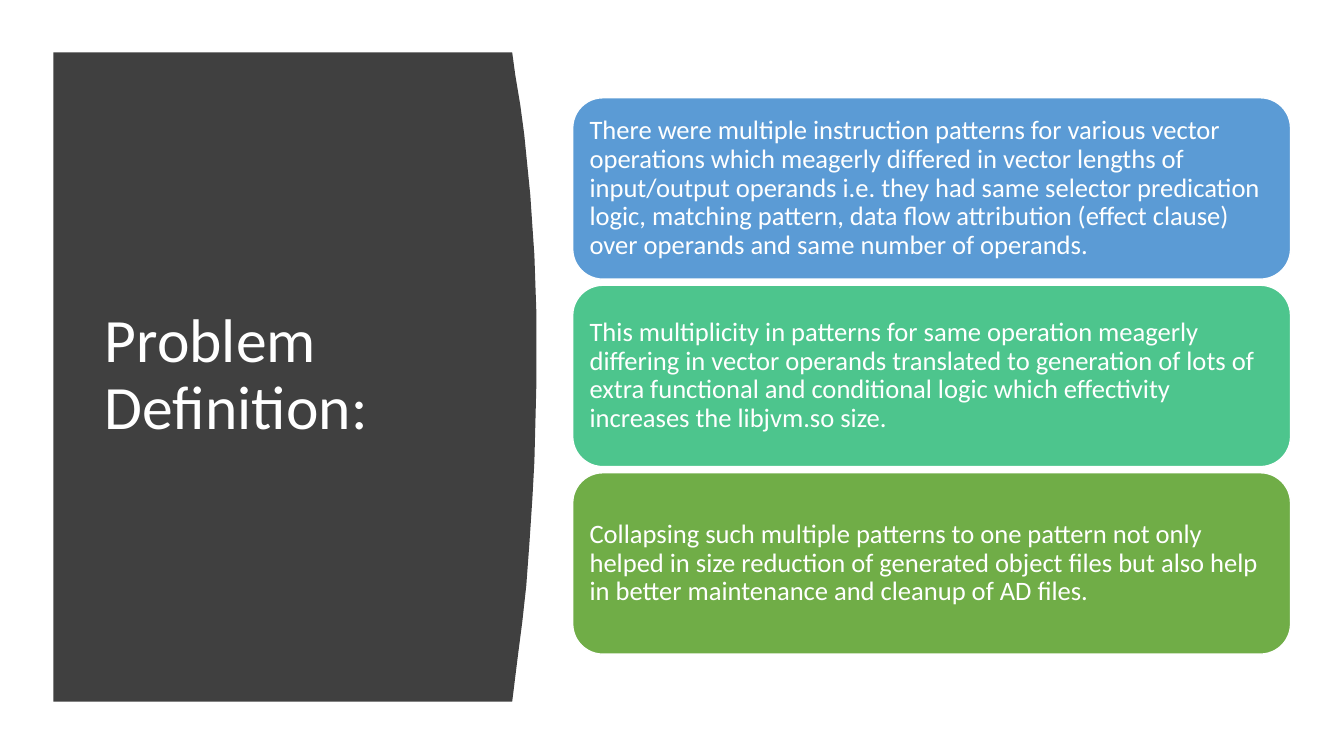
from pptx import Presentation
from pptx import util as u
from pptx.dml.color import RGBColor
from pptx.enum import shapes, text

COLORS = {"panel": "404040", "white": "FFFFFF", "blue": "5B9BD5",
          "teal": "4DC58D", "green": "70AD47"}
FONT = "Calibri"
TITLE = "Problem Definition:"
CARDS = [
    ("blue", "There were multiple instruction patterns for various vector operations "
             "which meagerly differed in vector lengths of input/output operands i.e. "
             "they had same selector predication logic, matching pattern, data flow "
             "attribution (effect clause) over operands and same number of operands."),
    ("teal", "This multiplicity in patterns for same operation meagerly differing in "
             "vector operands translated to generation of lots of extra functional and "
             "conditional logic which effectivity increases the libjvm.so size."),
    ("green", "Collapsing such multiple patterns to one pattern not only helped in size "
              "reduction of generated object files but also help in better maintenance "
              "and cleanup of AD files."),
]
PANEL_LEFT, PANEL_TOP, PANEL_BOTTOM = 0.53, 0.52, 6.96
PANEL_CURVE = [
    (5.08, PANEL_TOP), (5.11, 0.74), (5.16, 1.04), (5.2, 1.34), (5.23, 1.64),
    (5.26, 1.94), (5.28, 2.24), (5.3, 2.53), (5.31, 2.82), (5.32, 3.11),
    (5.32, 3.8), (5.31, 4.2), (5.3, 4.58), (5.28, 4.95), (5.25, 5.4),
    (5.22, 5.81), (5.18, 6.17), (5.14, 6.48), (5.11, 6.72), (5.08, PANEL_BOTTOM),
]
CARD_LEFT, CARD_TOP, CARD_W, CARD_H, CARD_PITCH = 5.68, 0.97, 7.12, 1.8, 1.86
CARD_INSET = 0.08


def rgb(name):
    return RGBColor.from_string(COLORS[name])


def write(tf, words, size):
    tf.word_wrap = True
    tf.auto_size = text.MSO_AUTO_SIZE.NONE
    tf.vertical_anchor = text.MSO_ANCHOR.MIDDLE
    p = tf.paragraphs[0]
    p.alignment = text.PP_ALIGN.LEFT
    p.line_spacing = 0.9
    r = p.add_run()
    r.text = words
    r.font.name = FONT
    r.font.size = u.Pt(size)
    r.font.color.rgb = rgb("white")


def add_panel(s):
    corners = [(PANEL_LEFT, PANEL_BOTTOM)]
    fb = s.shapes.build_freeform(u.Inches(PANEL_LEFT), u.Inches(PANEL_TOP))
    fb.add_line_segments([(u.Inches(x), u.Inches(y)) for x, y in PANEL_CURVE + corners])
    sp = fb.convert_to_shape()
    sp.shadow.inherit = False
    sp.fill.solid()
    sp.fill.fore_color.rgb = rgb("panel")
    sp.line.fill.background()
    return sp


def add_card(s, i, color, words):
    sp = s.shapes.add_shape(
        shapes.MSO_SHAPE.ROUNDED_RECTANGLE, u.Inches(CARD_LEFT),
        u.Inches(CARD_TOP + i * CARD_PITCH), u.Inches(CARD_W), u.Inches(CARD_H))
    sp.shadow.inherit = False
    sp.fill.solid()
    sp.fill.fore_color.rgb = rgb(color)
    sp.line.color.rgb = rgb("white")
    sp.line.width = u.Pt(1)
    tf = sp.text_frame
    tf.margin_left = tf.margin_right = u.Inches(CARD_INSET)
    tf.margin_top = tf.margin_bottom = u.Inches(CARD_INSET)
    write(tf, words, 19)


def main():
    prs = Presentation()
    prs.slide_width, prs.slide_height = u.Inches(13.33), u.Inches(7.5)
    s = prs.slides.add_slide(prs.slide_layouts[5])
    title = s.shapes.title
    title.left, title.top = u.Inches(0.94), u.Inches(1.11)
    title.width, title.height = u.Inches(3.74), u.Inches(5.24)
    write(title.text_frame, TITLE, 44)
    panel = add_panel(s)
    title.element.addprevious(panel.element)
    for i, (color, words) in enumerate(CARDS):
        add_card(s, i, color, words)
    prs.save("out.pptx")


if __name__ == "__main__":
    main()
